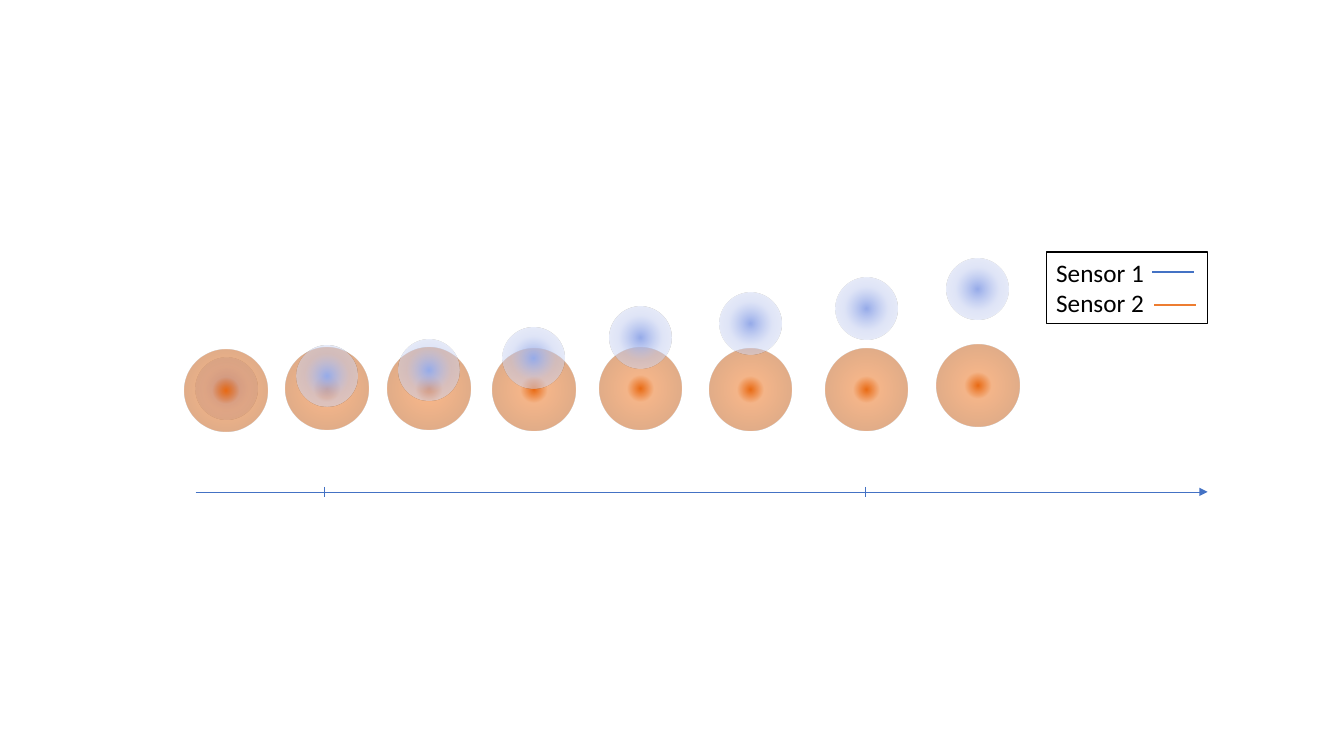
import pptx
import pptx.util
import pptx.dml.color
import pptx.enum.shapes
import pptx.enum.text
import pptx.oxml
import pptx.oxml.ns
from lxml import etree

WIDE, HIGH = 133.33, 75
CELL = 0.1
BLUE, ORANGE, BLACK = "4472C4", "ED7D31", "000000"
SPOTS = {
    "blue": (6.1, [(0, "96ABEA", 100), (50, "C0CBF0", 50), (100, "E0E5F7", 50)]),
    "orange": (8.2, [(0, "EA6B14", 100), (23, "EA6B14", 50),
                     (69, "C55A11", 50), (97, "B85410", 50)]),
}
STEPS = [(22.45, 38.75, 38.55), (32.45, 38.55, 37.3), (42.55, 38.55, 36.7),
         (52.95, 38.65, 35.5), (63.55, 38.55, 33.5), (74.45, 38.65, 32.1),
         (85.95, 38.65, 30.6), (97, 38.25, 28.7)]
AXIS = (19.4, 119.8, 48.8)
TICKS = [32.2, 85.8]
BOX = (103.8, 25, 16, 7.1)
KEYS = [("Sensor 1", BLUE, 114.3, 27), ("Sensor 2", ORANGE, 114.5, 30.3)]
DASH = 4.15

A = "{http://schemas.openxmlformats.org/drawingml/2006/main}"
KINDS = pptx.enum.shapes.MSO_SHAPE


def grid(*cells):
    """Turn grid cells into lengths."""
    return [pptx.util.Inches(n * CELL) for n in cells]


def color(code):
    """Turn a hex string into a colour."""
    return pptx.dml.color.RGBColor.from_string(code)


def spot(slide, name, x, y):
    """Draw a round glow centred on a point."""
    size, stops = SPOTS[name]
    disc = slide.shapes.add_shape(
        KINDS.OVAL, *grid(x - size / 2, y - size / 2, size, size))
    disc.shadow.inherit = False
    disc.fill.background()
    disc.line.fill.background()
    fill = etree.Element(A + "gradFill", rotWithShape="1")
    row = etree.SubElement(fill, A + "gsLst")
    for place, code, alpha in stops:
        stop = etree.SubElement(row, A + "gs", pos=str(place * 1000))
        tint = etree.SubElement(stop, A + "srgbClr", val=code)
        if alpha < 100:
            etree.SubElement(tint, A + "alpha", val=str(alpha * 1000))
    glow = etree.SubElement(fill, A + "path")
    glow.set("path", "circle")
    etree.SubElement(glow, A + "fillToRect", l="50000", t="50000", r="50000", b="50000")
    props = disc.element.spPr
    props.replace(props.find(A + "noFill"), fill)


def line(slide, start, end, code, width, arrow=False):
    """Draw a straight line between two points."""
    rule = slide.shapes.add_connector(
        pptx.enum.shapes.MSO_CONNECTOR.STRAIGHT, *grid(*start, *end))
    rule.line.color.rgb = color(code)
    rule.line.width = pptx.util.Pt(width)
    if arrow:
        etree.SubElement(rule.line._get_or_add_ln(), A + "tailEnd", type="triangle")
    etree.SubElement(rule.element.spPr, A + "effectLst")


def write(frame, rows, size=18, font="Calibri", code=BLACK):
    """Write one paragraph for each row of text."""
    for i, text in enumerate(rows):
        para = frame.add_paragraph() if i else frame.paragraphs[0]
        run = para.add_run()
        run.text = text
        run.font.size = pptx.util.Pt(size)
        run.font.name = font
        run.font.color.rgb = color(code)


def legend(slide):
    """Draw the boxed key with its sample lines."""
    box = slide.shapes.add_textbox(*grid(*BOX))
    box.line.color.rgb = color(BLACK)
    box.line.width = pptx.util.Pt(0.75)
    box.text_frame.word_wrap = True
    box.text_frame.auto_size = pptx.enum.text.MSO_AUTO_SIZE.SHAPE_TO_FIT_TEXT
    write(box.text_frame, [key[0] for key in KEYS])
    for _, code, x, y in KEYS:
        line(slide, (x, y), (x + DASH, y), code, 1.5)


def main():
    """Build and save the slide."""
    deck = pptx.Presentation()
    deck.slide_width, deck.slide_height = grid(WIDE, HIGH)
    slide = deck.slides.add_slide(deck.slide_layouts[6])
    for i, (x, low, high) in enumerate(STEPS):
        pair = [("orange", low), ("blue", high)]
        for name, y in pair if i else reversed(pair):
            spot(slide, name, x, y)
    left, right, level = AXIS
    line(slide, (left, level), (right, level), BLUE, 0.5, arrow=True)
    for x in TICKS:
        line(slide, (x, level - 0.5), (x, level + 0.5), BLUE, 0.5)
    legend(slide)
    deck.save("out.pptx")


if __name__ == "__main__":
    main()
